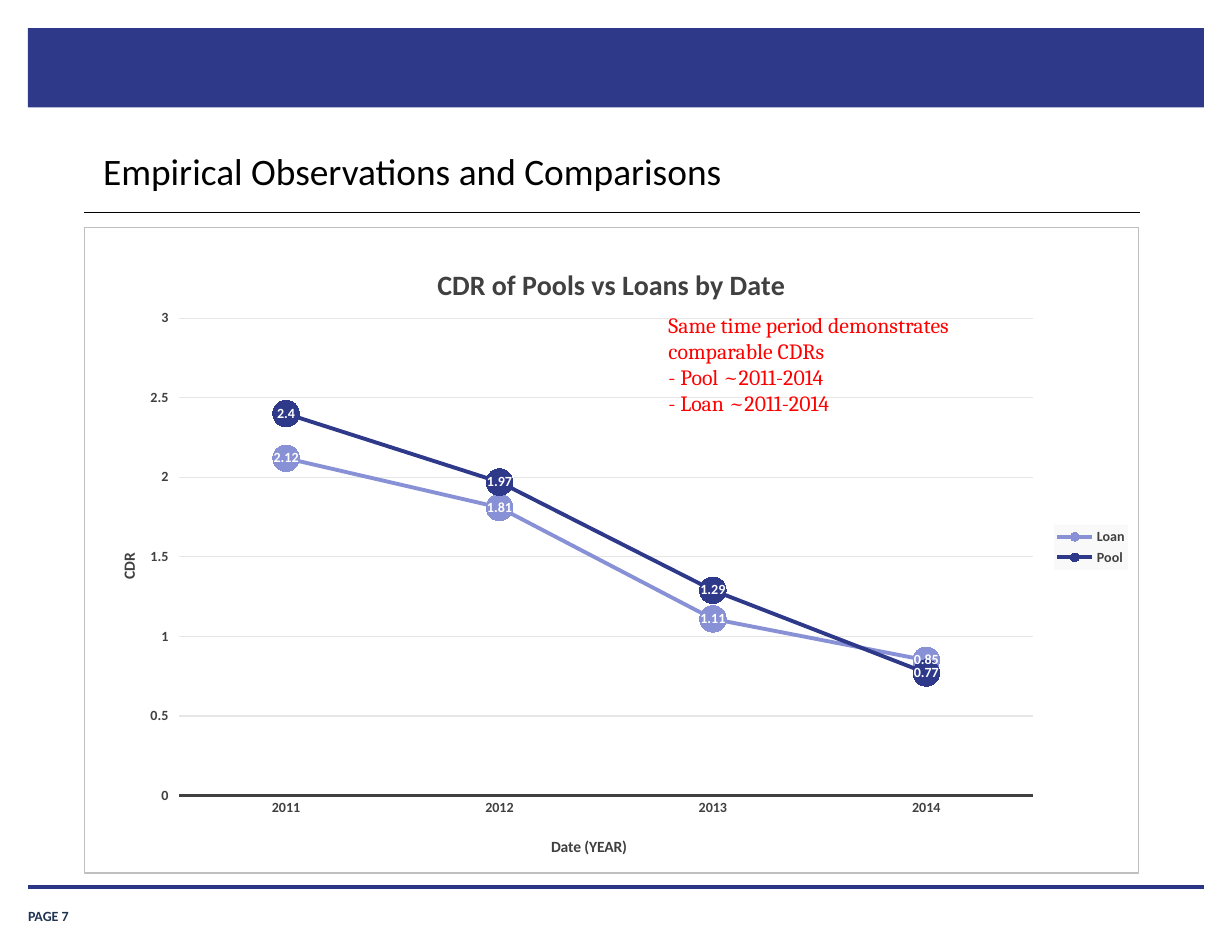
from lxml.etree import SubElement as Sub
from pptx import Presentation
from pptx.chart.data import CategoryChartData as Data
from pptx.dml.color import RGBColor as RGB
from pptx.enum.chart import XL_CHART_TYPE as Kind, XL_LABEL_POSITION as Spot
from pptx.enum.chart import XL_LEGEND_POSITION as Side, XL_MARKER_STYLE as Mark
from pptx.enum.chart import XL_TICK_MARK as Tick
from pptx.enum.shapes import MSO_CONNECTOR as Conn, MSO_SHAPE as Form
from pptx.enum.text import MSO_ANCHOR as Anchor, PP_ALIGN as Align
from pptx.oxml import parse_xml
from pptx.oxml.ns import nsdecls, qn
from pptx.util import Inches, Pt

COLORS = {
    "navy": "2E398A", "rule": "2B3689", "page": "203353", "lilac": "8891D5",
    "black": "000000", "gray": "404040", "edge": "BFBFBF", "grid": "E6E6E6",
    "pale": "F9F9F9", "white": "FFFFFF", "red": "FF0000",
}
UNIT = 0.25
COLS, ROWS = 44, 34
YEARS = ["2011", "2012", "2013", "2014"]
SERIES = [
    ("Loan", "lilac", [2.12, 1.81, 1.11, 0.85]),
    ("Pool", "navy", [2.4, 1.97, 1.29, 0.77]),
]
NOTE = [
    "Same time period demonstrates comparable CDRs",
    "- Pool ~2011-2014",
    "- Loan ~2011-2014",
]


def grid(*cells):
    return [Inches(cell * UNIT) for cell in cells]


def tint(name):
    return RGB.from_string(COLORS[name])


def style(font, size, color, bold=False, face="Calibri"):
    font.name, font.size, font.bold = face, Pt(size), bold
    font.color.rgb = tint(color)


def stroke(line, color, width):
    line.color.rgb = tint(color)
    line.width = Pt(width)


def add_bar(slide):
    bar = slide.shapes.add_shape(Form.RECTANGLE, *grid(1, 1, 42, 2.84))
    bar.shadow.inherit = False
    bar.fill.solid()
    bar.fill.fore_color.rgb = tint("navy")
    bar.line.fill.background()


def add_rule(slide, left, right, row, color, width):
    rule = slide.shapes.add_connector(Conn.STRAIGHT, *grid(left, row, right, row))
    stroke(rule.line, color, width)
    Sub(rule.element.spPr, qn("a:effectLst"))


def add_title(slide, text):
    title = slide.shapes.title
    title.left, title.top, title.width, title.height = grid(3.28, 5.12, 37.4, 1.92)
    frame = title.text_frame
    frame.text = text
    frame.vertical_anchor = Anchor.MIDDLE
    para = frame.paragraphs[0]
    para.alignment = Align.LEFT
    style(para.font, 24, "black")


def add_text(slide, cells, lines, indent=0, **look):
    frame = slide.shapes.add_textbox(*grid(*cells)).text_frame
    frame.word_wrap = True
    frame.text = "\n".join(lines)
    for para in frame.paragraphs:
        para.element = para._p
        para._p.get_or_add_pPr().set("marL", str(Inches(indent)))
        style(para.font, **look)
    return frame


def place(node, index, **shares):
    spot = node.find(qn("c:layout"))
    if spot is not None:
        node.remove(spot)
    spot = parse_xml(f"<c:layout {nsdecls('c')}><c:manualLayout/></c:layout>")
    node.insert(index, spot)
    for tag, val in shares.items():
        Sub(spot[0], qn(f"c:{tag}")).set("val", str(val))


def paint(node, fill, edge=None):
    line = "<a:ln><a:noFill/></a:ln>"
    if edge:
        line = (f'<a:ln w="{Pt(0.75)}"><a:solidFill><a:srgbClr val="{COLORS[edge]}"/>'
                "</a:solidFill></a:ln>")
    node.find(qn("c:txPr")).addprevious(parse_xml(
        f"<c:spPr {nsdecls('c', 'a')}><a:solidFill><a:srgbClr val=\"{COLORS[fill]}\"/>"
        f"</a:solidFill>{line}</c:spPr>"))


def name_part(title, text, size):
    title.text_frame.text = text
    style(title.text_frame.paragraphs[0].font, size, "gray", True)


def set_axes(chart):
    cat, val = chart.category_axis, chart.value_axis
    for axis, text in ((cat, "Date (YEAR)"), (val, "CDR")):
        name_part(axis.axis_title, text, 10)
        style(axis.tick_labels.font, 9, "gray", True)
    cat.major_tick_mark = Tick.NONE
    stroke(cat.format.line, "gray", 1.5)
    val.minimum_scale, val.maximum_scale, val.major_unit = 0, 3, 0.5
    val.format.line.fill.background()
    stroke(val.major_gridlines.format.line, "grid", 0.75)


def set_series(item, color):
    item.smooth = False
    stroke(item.format.line, color, 2.5)
    mark = item.marker
    mark.style, mark.size = Mark.CIRCLE, 17
    mark.format.fill.solid()
    mark.format.fill.fore_color.rgb = tint(color)
    mark.format.line.fill.background()
    labels = item.data_labels
    labels.show_value, labels.position = True, Spot.CENTER
    style(labels.font, 9, "white", True)


def set_layout(root):
    place(root.find(qn("c:title")), 1, xMode="edge", yMode="edge", x=0.33, y=0.05)
    plot = root.find(qn("c:plotArea"))
    place(plot, 0, layoutTarget="inner", xMode="edge", yMode="edge",
          x=0.09, y=0.14, w=0.81, h=0.74)
    for axis, x, y in (("catAx", 0.44, 0.94), ("valAx", 0.03, 0.5)):
        title = plot.find(qn(f"c:{axis}")).find(qn("c:title"))
        place(title, 1, xMode="edge", yMode="edge", x=x, y=y)
    legend = root.find(qn("c:legend"))
    place(legend, 1, xMode="edge", yMode="edge", x=0.92, y=0.46, w=0.07, h=0.07)
    paint(legend, "pale")


def add_chart(slide):
    data = Data()
    data.categories = YEARS
    for name, _, vals in SERIES:
        data.add_series(name, vals)
    cells = grid(3, 8.12, 37.68, 23.08)
    chart = slide.shapes.add_chart(Kind.LINE_MARKERS, *cells, data).chart
    style(chart.font, 10, "black", True)
    chart.has_title = chart.has_legend = True
    name_part(chart.chart_title, "CDR of Pools vs Loans by Date", 18)
    chart.legend.position = Side.RIGHT
    chart.legend.include_in_layout = False
    style(chart.legend.font, 9, "gray", True)
    chart.plots[0].vary_by_categories = False
    set_axes(chart)
    for item, (_, color, _) in zip(chart.series, SERIES):
        set_series(item, color)
    root = chart.element
    set_layout(root.find(qn("c:chart")))
    paint(root, "white", "edge")


def main():
    deck = Presentation()
    deck.slide_width, deck.slide_height = grid(COLS, ROWS)
    slide = deck.slides.add_slide(deck.slide_layouts[0])
    sub = slide.placeholders[1].element
    sub.getparent().remove(sub)
    add_bar(slide)
    page = add_text(slide, (1, 32.08, 3.64, 0.92), ["PAGE 7"],
                    size=9, color="page", bold=True)
    page.margin_left = page.margin_right = page.margin_top = page.margin_bottom = 0
    page.vertical_anchor = Anchor.BOTTOM
    add_rule(slide, 1, 43, 31.68, "rule", 2)
    add_title(slide, "Empirical Observations and Comparisons")
    add_rule(slide, 3, 40.72, 7.6, "black", 0.75)
    add_chart(slide)
    add_text(slide, (21.24, 10.92, 16.64, 4.16), NOTE, indent=0.56,
             size=14, color="red", face="Cambria")
    deck.save("out.pptx")


if __name__ == "__main__":
    main()
